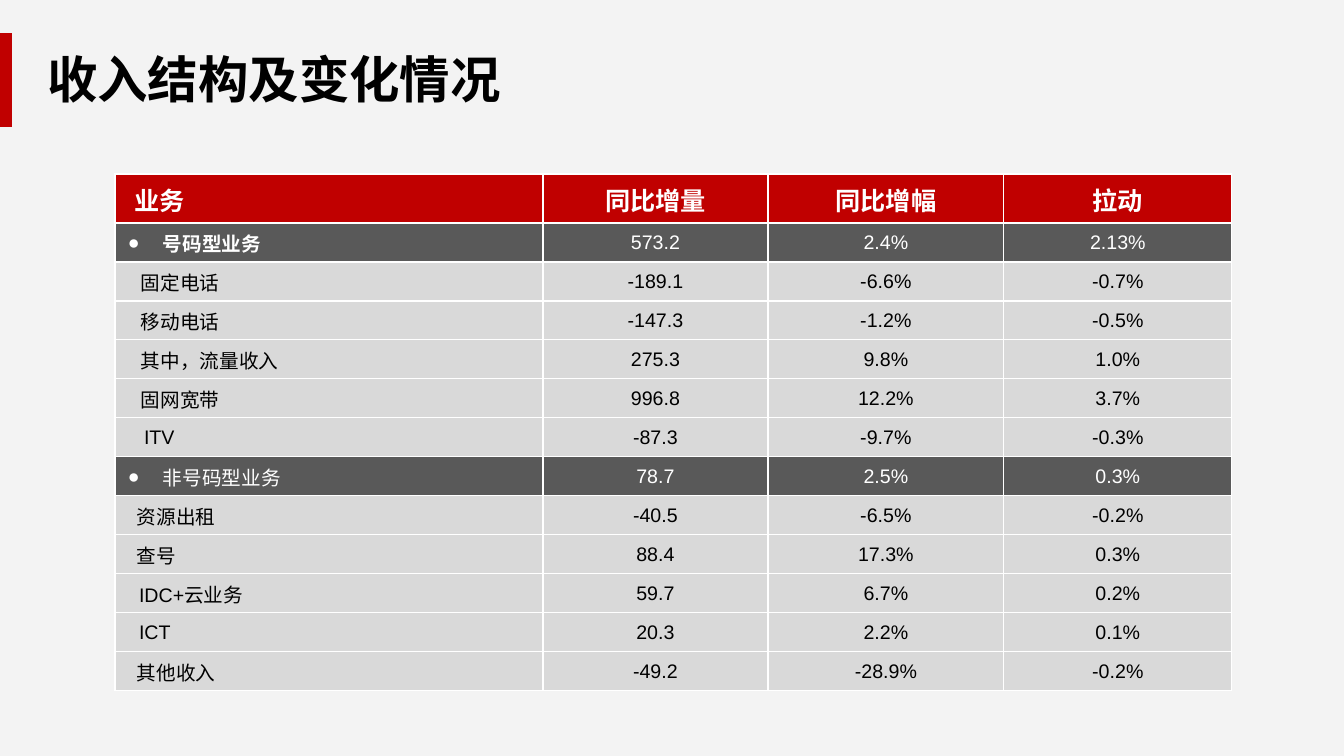
"""Build the slide on revenue structure and its year-on-year changes."""
from dataclasses import dataclass

from lxml.etree import SubElement
from pptx import Presentation
from pptx.dml.color import RGBColor
from pptx.enum.shapes import MSO_SHAPE
from pptx.enum.text import MSO_ANCHOR, MSO_AUTO_SIZE, PP_ALIGN
from pptx.oxml.ns import qn
from pptx.util import Emu, Pt

RED = RGBColor(0xC0, 0x00, 0x00)
DARK = RGBColor(0x59, 0x59, 0x59)
LIGHT = RGBColor(0xD9, 0xD9, 0xD9)
PAPER = RGBColor(0xF3, 0xF3, 0xF3)
WHITE = RGBColor(0xFF, 0xFF, 0xFF)
BLACK = RGBColor(0x00, 0x00, 0x00)
FONT = "Arial"
COLUMNS = (428, 225, 236, 228)
HEADER_HEIGHT, ROW_HEIGHT = 49, 39


@dataclass(frozen=True)
class Style:
    """Look of one kind of table row."""
    fill: RGBColor
    color: RGBColor
    size: int = 14
    bullet: str = ""
    hanging: int = 0


HEADER = Style(RED, WHITE, size=18)
GROUP = Style(DARK, WHITE, bullet="●", hanging=35)
ITEM = Style(LIGHT, BLACK)


@dataclass(frozen=True)
class Row:
    """One table row: label, figures and look."""
    label: str
    figures: tuple[str, str, str]
    style: Style = ITEM
    margin: int = 21
    bold: bool = False
    bold_figures: bool = False


ROWS = (
    Row("业务", ("同比增量", "同比增幅", "拉动"), HEADER, 18, True, True),
    Row("号码型业务", ("573.2", "2.4%", "2.13%"), GROUP, 47, True),
    Row("固定电话", ("-189.1", "-6.6%", "-0.7%"), margin=25),
    Row("移动电话", ("-147.3", "-1.2%", "-0.5%"), margin=25),
    Row("其中，流量收入", ("275.3", "9.8%", "1.0%"), margin=25),
    Row("固网宽带", ("996.8", "12.2%", "3.7%"), margin=25),
    Row("ITV", ("-87.3", "-9.7%", "-0.3%"), margin=28),
    Row("非号码型业务", ("78.7", "2.5%", "0.3%"), GROUP, 47),
    Row("资源出租", ("-40.5", "-6.5%", "-0.2%")),
    Row("查号", ("88.4", "17.3%", "0.3%")),
    Row("IDC+云业务", ("59.7", "6.7%", "0.2%"), margin=23),
    Row("ICT", ("20.3", "2.2%", "0.1%"), margin=23),
    Row("其他收入", ("-49.2", "-28.9%", "-0.2%")),
)


def px(n: int) -> Emu:
    """Turn pixels, 100.8 to the inch, into EMU."""
    return Emu(round(n * 914400 / 100.8))


def write(p, text: str, *, size: int, color: RGBColor, bold: bool = False,
          align: PP_ALIGN = PP_ALIGN.LEFT) -> None:
    """Add formatted text to a paragraph."""
    p.alignment = align
    r = p.add_run()
    r.text = text
    r.font.name = FONT
    r.font.size = Pt(size)
    r.font.bold = bold
    r.font.color.rgb = color


def indent(p, margin: int, hanging: int, bullet: str) -> None:
    """Set a paragraph's left margin, hanging indent and bullet."""
    pPr = p._p.get_or_add_pPr()
    pPr.set("marL", str(px(margin)))
    pPr.set("indent", str(px(-hanging)))
    if bullet:
        SubElement(pPr, qn("a:buFont")).set("typeface", FONT)
        SubElement(pPr, qn("a:buChar")).set("char", bullet)


def format_cell(cell, fill: RGBColor) -> None:
    """Give a cell its borders, fill, insets and anchor."""
    tcPr = cell._tc.get_or_add_tcPr()
    for side in ("a:lnL", "a:lnR", "a:lnT", "a:lnB"):
        ln = SubElement(tcPr, qn(side), w=str(Pt(1)))
        line_fill = SubElement(ln, qn("a:solidFill"))
        SubElement(line_fill, qn("a:srgbClr")).set("val", str(WHITE))
    cell.fill.solid()
    cell.fill.fore_color.rgb = fill
    cell.margin_left = cell.margin_right = cell.margin_top = px(1)
    cell.margin_bottom = 0
    cell.vertical_anchor = MSO_ANCHOR.MIDDLE


def add_title(slide, text: str) -> None:
    """Fill and place the title, with the red bar beside it."""
    bar = slide.shapes.add_shape(MSO_SHAPE.RECTANGLE, 0, px(33), px(12), px(94))
    bar.shadow.inherit = False
    bar.fill.solid()
    bar.fill.fore_color.rgb = RED
    bar.line.fill.background()

    sp = slide.shapes.title
    sp.left, sp.top, sp.width, sp.height = px(37), px(43), px(479), px(72)
    tf = sp.text_frame
    tf.word_wrap = False
    tf.auto_size = MSO_AUTO_SIZE.SHAPE_TO_FIT_TEXT
    tf.vertical_anchor = MSO_ANCHOR.TOP
    write(tf.paragraphs[0], text, size=36, color=BLACK, bold=True)


def add_revenue_table(slide) -> None:
    """Draw the revenue table from its rows."""
    height = HEADER_HEIGHT + ROW_HEIGHT * (len(ROWS) - 1)
    table = slide.shapes.add_table(len(ROWS), len(COLUMNS), px(115), px(174),
                                   px(sum(COLUMNS)), px(height)).table
    table.first_row = table.horz_banding = False
    for column, width in zip(table.columns, COLUMNS):
        column.width = px(width)
    for i, row in enumerate(ROWS):
        style = row.style
        table.rows[i].height = px(ROW_HEIGHT if i else HEADER_HEIGHT)
        for j, text in enumerate((row.label, *row.figures)):
            cell = table.cell(i, j)
            format_cell(cell, style.fill)
            p = cell.text_frame.paragraphs[0]
            if j == 0:
                indent(p, row.margin, style.hanging, style.bullet)
            write(p, text, size=style.size, color=style.color,
                  bold=row.bold_figures if j else row.bold,
                  align=PP_ALIGN.CENTER if j else PP_ALIGN.LEFT)


def main() -> None:
    """Build and save the presentation."""
    prs = Presentation()
    prs.slide_width, prs.slide_height = px(1344), px(756)
    slide = prs.slides.add_slide(prs.slide_layouts.get_by_name("Title Only"))
    slide.background.fill.solid()
    slide.background.fill.fore_color.rgb = PAPER
    add_title(slide, "收入结构及变化情况")
    add_revenue_table(slide)
    prs.save("out.pptx")


if __name__ == "__main__":
    main()
